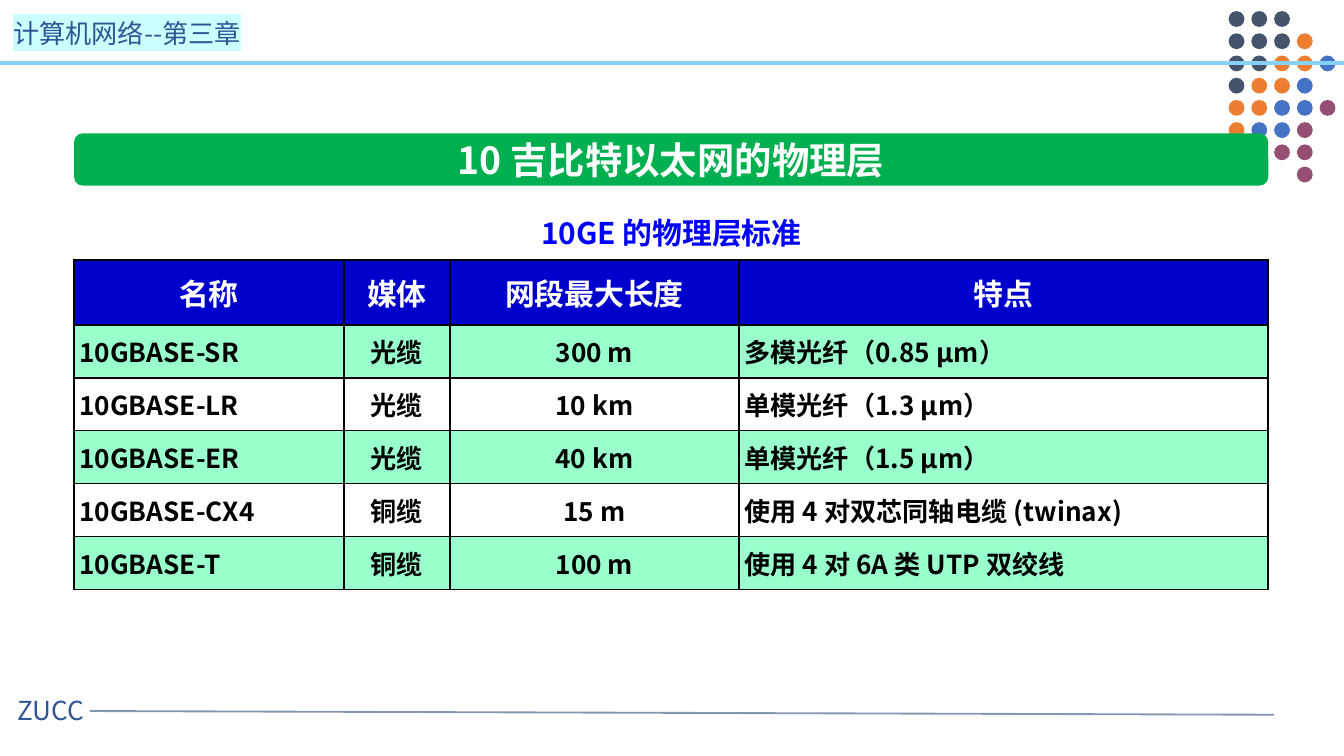
import pptx
import pptx.util
import pptx.dml.color
import pptx.enum.shapes
import pptx.enum.text
import pptx.oxml
import pptx.oxml.ns

Cm, Pt = pptx.util.Cm, pptx.util.Pt
Align, Anchor = pptx.enum.text.PP_ALIGN, pptx.enum.text.MSO_ANCHOR
Shape = pptx.enum.shapes.MSO_SHAPE

FACE = "Noto Sans CJK SC"
HEX = {
    "navy": "2F5597", "pale": "CCFFFF", "sky": "85D1F7", "steel": "8497B0",
    "green": "00B050", "mint": "99FFCC", "head": "0000CC", "blue": "0000FF",
    "white": "FFFFFF", "black": "000000",
    "S": "44546A", "O": "ED7D31", "B": "4472C4", "P": "954F72",
}
DOTS = ["SSS", "SSSO", "SSOOB", "SOOB", "OOBBP", "OBBP", "  PP", "   P"]
TITLE = "10 吉比特以太网的物理层"
LABELS = [
    ("ZUCC", (0.08, 13.01, 2.26, 0.86), 14, "navy", None),
    ("计算机网络--第三章", (0, 0.21, 5.49, 0.86), 14, "navy", "pale"),
]
CAPTION = "10GE 的物理层标准"
RULES = [
    ((1.7, 13.44), (24.08, 13.51), "steel", 1),
    ((0, 1.19), (25.4, 1.19), "sky", 2),
]
ROWS = [
    ("名称", "媒体", "网段最大长度", "特点"),
    ("10GBASE-SR", "光缆", "300 m", "多模光纤（0.85 μm）"),
    ("10GBASE-LR", "光缆", "10 km", "单模光纤（1.3 μm）"),
    ("10GBASE-ER", "光缆", "40 km", "单模光纤（1.5 μm）"),
    ("10GBASE-CX4", "铜缆", "15 m", "使用 4 对双芯同轴电缆 (twinax)"),
    ("10GBASE-T", "铜缆", "100 m", "使用 4 对 6A 类 UTP 双绞线"),
]
WIDTHS = [5.1, 2, 5.47, 10]
LEFT, TOP, HEAD, LINE = 1.4, 4.91, 1.23, 1


def tint(name):
    return pptx.dml.color.RGBColor.from_string(HEX[name])


def node(tag, inner="", attrs=""):
    space = pptx.oxml.ns.nsdecls("a")
    return pptx.oxml.parse_xml(f"<a:{tag} {space} {attrs}>{inner}</a:{tag}>")


def paint(name):
    return f'<a:srgbClr val="{HEX[name]}"/>'


def write(frame, text, size, color, bold=False, align=Align.LEFT, mark=None):
    para = frame.paragraphs[0]
    para.alignment = align
    run = para.add_run()
    run.text = text
    font = run.font
    font.size, font.bold, font.name = Pt(size), bold, FACE
    font.color.rgb = tint(color)
    props = run._r.get_or_add_rPr()
    latin = props.find(pptx.oxml.ns.qn("a:latin"))
    latin.addnext(node("ea", attrs=f'typeface="{FACE}"'))
    if mark:
        latin.addprevious(node("highlight", paint(mark)))


def label(slide, box, text, size, color, wrap=True, **style):
    frame = slide.shapes.add_textbox(*map(Cm, box)).text_frame
    frame.word_wrap = wrap
    write(frame, text, size, color, **style)


def solid(slide, kind, box, color):
    shape = slide.shapes.add_shape(kind, *map(Cm, box))
    shape.shadow.inherit = False
    shape.fill.solid()
    shape.fill.fore_color.rgb = tint(color)
    shape.line.fill.background()


def rule(slide, start, end, color, width):
    kind = pptx.enum.shapes.MSO_CONNECTOR.STRAIGHT
    line = slide.shapes.add_connector(kind, *map(Cm, start + end))
    line.line.color.rgb = tint(color)
    line.line.width = Pt(width)
    line._element.spPr.append(node("effectLst"))


def banner(slide):
    box = (LEFT, 2.52, sum(WIDTHS), 0.99)
    solid(slide, Shape.ROUNDED_RECTANGLE, box, "green")
    title = slide.shapes.title
    title.left, title.top, title.width, title.height = map(Cm, box)
    frame = title.text_frame
    frame.word_wrap = True
    frame.auto_size = pptx.enum.text.MSO_AUTO_SIZE.NONE
    frame.vertical_anchor = Anchor.MIDDLE
    frame.margin_top = frame.margin_bottom = 0
    write(frame, TITLE, 20, "white", True, Align.CENTER)
    slide.shapes._spTree.append(title._element)


def grid(slide):
    high = HEAD + LINE * (len(ROWS) - 1)
    box = map(Cm, (LEFT, TOP, sum(WIDTHS), high))
    table = slide.shapes.add_table(len(ROWS), len(WIDTHS), *box).table
    table.horz_banding = False
    for col, width in zip(table.columns, WIDTHS):
        col.width = Cm(width)
    for r, texts in enumerate(ROWS):
        table.rows[r].height = Cm(LINE if r else HEAD)
        for c, text in enumerate(texts):
            cell = table.cell(r, c)
            cell.vertical_anchor = Anchor.MIDDLE
            cell.margin_left = cell.margin_right = Cm(0.1)
            cell.margin_top = cell.margin_bottom = 0
            side = Align.JUSTIFY if r and c in (0, 3) else Align.CENTER
            write(cell.text_frame, text, 14 if r else 16,
                  "black" if r else "white", True, side)
            if r and r % 2 == 0:
                cell.fill.background()
            else:
                cell.fill.solid()
                cell.fill.fore_color.rgb = tint("mint" if r else "head")
            props = cell._tc.get_or_add_tcPr()
            ink = f"<a:solidFill>{paint('black')}</a:solidFill>"
            for i, edge in enumerate(("lnL", "lnR", "lnT", "lnB")):
                props.insert(i, node(edge, ink, 'w="12700"'))


def main():
    deck = pptx.Presentation()
    deck.slide_width, deck.slide_height = Cm(25.4), Cm(14.29)
    slide = deck.slides.add_slide(deck.slide_layouts[5])
    for text, box, size, color, mark in LABELS:
        label(slide, box, text, size, color, mark=mark)
    for j, row in enumerate(DOTS):
        for i, key in enumerate(row):
            if key != " ":
                box = (23.22 + 0.43 * i, 0.21 + 0.42 * j, 0.3, 0.3)
                solid(slide, Shape.OVAL, box, key)
    for line in RULES:
        rule(slide, *line)
    banner(slide)
    label(slide, (9.91, 3.94, 5.56, 0.94), CAPTION, 16, "blue", False,
          bold=True, align=Align.CENTER)
    grid(slide)
    deck.save("out.pptx")


if __name__ == "__main__":
    main()
